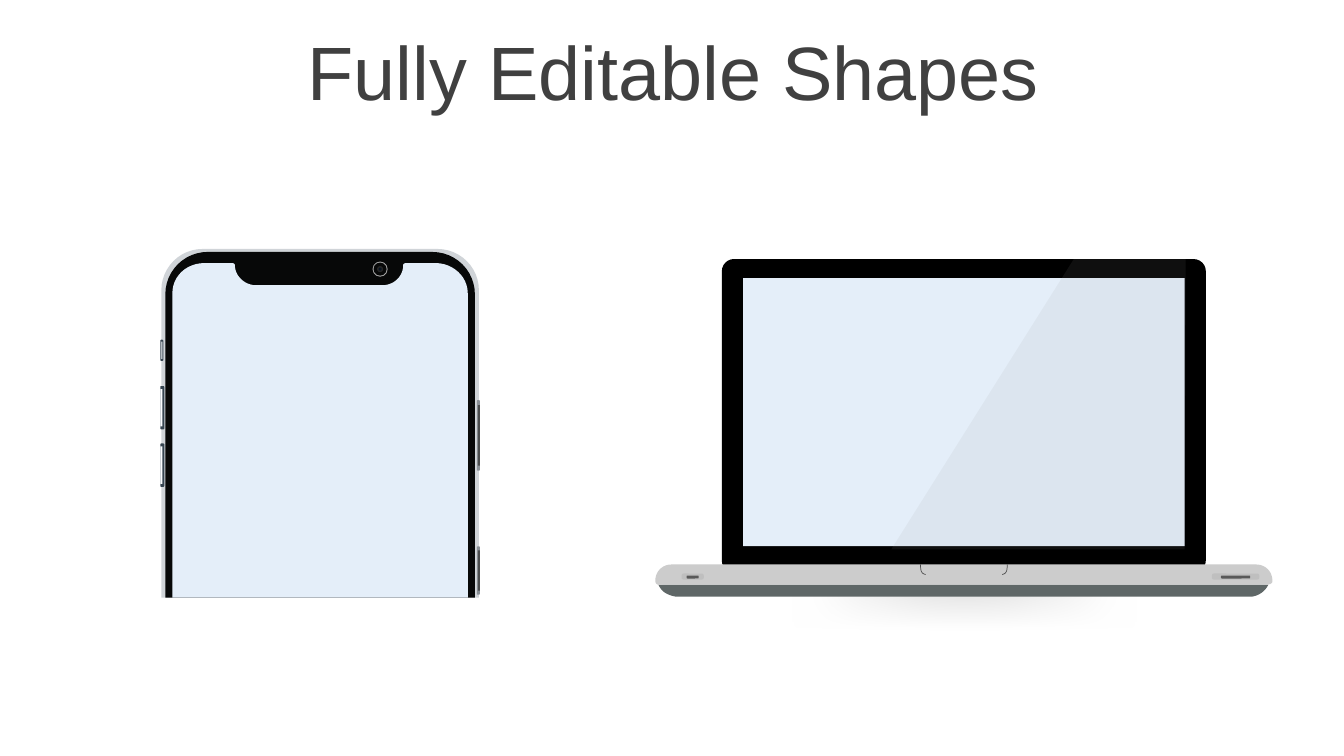
import pptx
import pptx.util
import pptx.dml.color
import pptx.enum.shapes
import pptx.enum.text
import pptx.oxml
import pptx.oxml.ns
from pptx.util import Inches

KIND = pptx.enum.shapes.MSO_SHAPE
COLORS = {
    "title": "404040", "shadow": "808080", "under": "5F6767", "lid": "000000",
    "screen": "E4EEF9", "base": "CCCCCC", "mark": "4D4D4D", "port": "BFBFBF",
    "slot": "595959", "glare": "999999", "rim": "D0D4D8", "bezel": "070808",
    "button": "364551", "shine": "FAFDFF", "key": "8A9096", "groove": "4A4C4D",
    "ring": "A6A6A6", "glass": "262626", "pupil": "081422",
}


def rgb(name):
    return pptx.dml.color.RGBColor.from_string(COLORS[name])


def paint(shape, color):
    shape.shadow.inherit = False
    shape.fill.solid()
    shape.fill.fore_color.rgb = rgb(color)
    shape.line.fill.background()
    return shape


def place(shapes, kind, box, color, radius=None):
    """Add a preset shape; radius is its corner radius in inches."""
    shape = shapes.add_shape(kind, *[Inches(v) for v in box])
    if radius is not None:
        shape.adjustments[0] = min(0.5, radius / min(box[2:]))
    return paint(shape, color)


def trace(steps, count=12):
    """Turn line steps (x, y) and Bezier steps (six numbers) into points."""
    points = [steps[0]]
    for step in steps[1:]:
        if len(step) == 2:
            points.append(step)
            continue
        start, (ax, ay, bx, by, cx, cy) = points[-1], step
        for i in range(1, count + 1):
            t = i / count
            u = 1 - t
            points.append(tuple(
                u**3 * p + 3 * u * u * t * a + 3 * u * t * t * b + t**3 * c
                for p, a, b, c in zip(start, (ax, ay), (bx, by), (cx, cy))))
    return points


def draw(shapes, left, top, steps, close=True):
    """Add an outline whose steps are measured from left and top."""
    points = [(Inches(left + x), Inches(top + y)) for x, y in trace(steps)]
    path = shapes.build_freeform(*points[0], scale=1.0)
    path.add_line_segments(points[1:], close=close)
    return path.convert_to_shape()


def add_title(slide, box):
    text = slide.shapes.add_textbox(*[Inches(v) for v in box])
    frame = text.text_frame
    frame.word_wrap = True
    frame.vertical_anchor = pptx.enum.text.MSO_ANCHOR.MIDDLE
    frame.text = "Fully Editable Shapes"
    line = frame.paragraphs[0]
    line.alignment = pptx.enum.text.PP_ALIGN.CENTER
    line.line_spacing = 0.9
    font = line.runs[0].font
    font.name = "Arial"
    font.size = pptx.util.Pt(54)
    font.color.rgb = rgb("title")


def add_shadow(slide, box):
    shape = place(slide.shapes, KIND.OVAL, box, "shadow")
    effects = shape._element.spPr.find(pptx.oxml.ns.qn("a:effectLst"))
    effects.append(pptx.oxml.parse_xml(
        f'<a:softEdge {pptx.oxml.ns.nsdecls("a")} rad="{pptx.util.Pt(25)}"/>'))


def add_laptop(slide, box):
    left, top, wide, high = box
    add_shadow(slide, (left - 1.21, top + high - 0.42, 8.54, 0.76))
    parts = slide.shapes.add_group_shape().shapes

    under = [(0.03, 3.23), (wide - 0.04, 3.23),
             (wide - 0.09, 3.34, wide - 0.21, high, wide - 0.21, high),
             (0.21, high), (0.15, 3.34, 0.07, 3.32, 0.03, 3.23)]
    paint(draw(parts, left, top, under), "under")
    place(parts, KIND.ROUNDED_RECTANGLE, (left + 0.66, top, 4.8, 3.11), "lid", 0.12)
    place(parts, KIND.RECTANGLE, (left + 0.87, top + 0.19, 4.38, 2.66), "screen")

    base = [(0.16, 3.03), (wide - 0.16, 3.03),
            (wide - 0.07, 3.03, wide, 3.1, wide, 3.19),
            (wide, 3.19, wide + 0.01, 3.23, wide - 0.06, 3.23),
            (0.08, 3.23), (0.03, 3.24, 0, 3.23, 0, 3.19),
            (0, 3.1, 0.07, 3.03, 0.16, 3.03)]
    paint(draw(parts, left, top, base), "base")

    for start, turn in ((2.63, 1), (3.49, -1)):
        steps = [(start, 3.03), (start, 3.1, start + turn * 0.01, 3.12,
                                 start + turn * 0.05, 3.13)]
        mark = draw(parts, left, top, steps, close=False)
        mark.shadow.inherit = False
        mark.fill.background()
        mark.line.color.rgb = rgb("mark")
        mark.line.width = pptx.util.Pt(0.5)

    for x, width, inset in ((0.26, 0.22, 0.05), (5.52, 0.47, 0.09)):
        place(parts, KIND.ROUNDED_RECTANGLE,
              (left + x, top + 3.12, width, 0.06), "port", 0.02)
        place(parts, KIND.ROUNDED_RECTANGLE,
              (left + x + inset, top + 3.14, width - 2 * inset, 0.03), "slot", 0.01)

    glare = paint(draw(parts, left, top,
                       [(4.15, 0), (5.26, 0), (5.25, 2.88), (2.34, 2.88)]), "glare")
    tint = glare._element.spPr.find(".//" + pptx.oxml.ns.qn("a:srgbClr"))
    tint.append(pptx.oxml.parse_xml(
        f'<a:alpha {pptx.oxml.ns.nsdecls("a")} val="10000"/>'))


def add_phone(slide, box):
    left, top, wide, high = box
    parts = slide.shapes.add_group_shape().shapes
    place(parts, KIND.ROUND_2_SAME_RECTANGLE, box, "rim", 0.41)
    place(parts, KIND.ROUND_2_SAME_RECTANGLE,
          (left + 0.04, top + 0.03, wide - 0.08, high - 0.03), "bezel", 0.42)

    # x, y, width, height, outer and inner colour, inner x, inset, inner width
    keys = [(-0.01, 0.9, 0.03, 0.21, "button", "shine", 0, 0.02, 0.01)]
    keys += [(-0.01, y, 0.04, 0.43, "button", "shine", -0.01, 0.03, 0.02)
             for y in (1.36, 1.93)]
    keys += [(3.13, y, 0.03, tall, "key", "groove", 3.14, inset, 0.02)
             for y, tall, inset in ((1.5, 0.7, 0.05), (2.95, 0.48, 0.04))]
    for x, y, width, tall, outer, inner, inx, inset, thin in keys:
        place(parts, KIND.ROUNDED_RECTANGLE,
              (left + x, top + y, width, tall), outer, 0.01)
        place(parts, KIND.RECTANGLE,
              (left + inx, top + y + inset, thin, tall - 2 * inset), inner)

    for size, color in ((0.15, "ring"), (0.13, "bezel"),
                        (0.06, "glass"), (0.03, "pupil")):
        place(parts, KIND.OVAL, (left + 2.17 - size / 2, top + 0.2 - size / 2,
                                 size, size), color)

    screen = [(0.43, 0.14), (0.7, 0.14), (0.72, 0.14, 0.73, 0.15, 0.73, 0.16),
              (0.73, 0.27, 0.83, 0.36, 0.94, 0.36), (2.19, 0.36),
              (2.31, 0.36, 2.4, 0.27, 2.4, 0.16),
              (2.4, 0.15, 2.41, 0.14, 2.43, 0.14), (2.72, 0.14),
              (2.89, 0.14, 3.04, 0.27, 3.04, 0.44), (3.04, high),
              (0.11, high), (0.11, 0.44), (0.11, 0.27, 0.25, 0.14, 0.43, 0.14)]
    paint(draw(slide.shapes, left, top, screen), "screen")


def main():
    deck = pptx.Presentation()
    deck.slide_width = Inches(13.33)
    deck.slide_height = Inches(7.5)
    slide = deck.slides.add_slide(deck.slide_layouts[6])
    add_title(slide, (0.35, 0.36, 12.66, 0.79))
    add_laptop(slide, (6.5, 2.57, 6.12, 3.35))
    add_phone(slide, (1.6, 2.47, 3.15, 3.46))
    deck.save("out.pptx")


if __name__ == "__main__":
    main()
